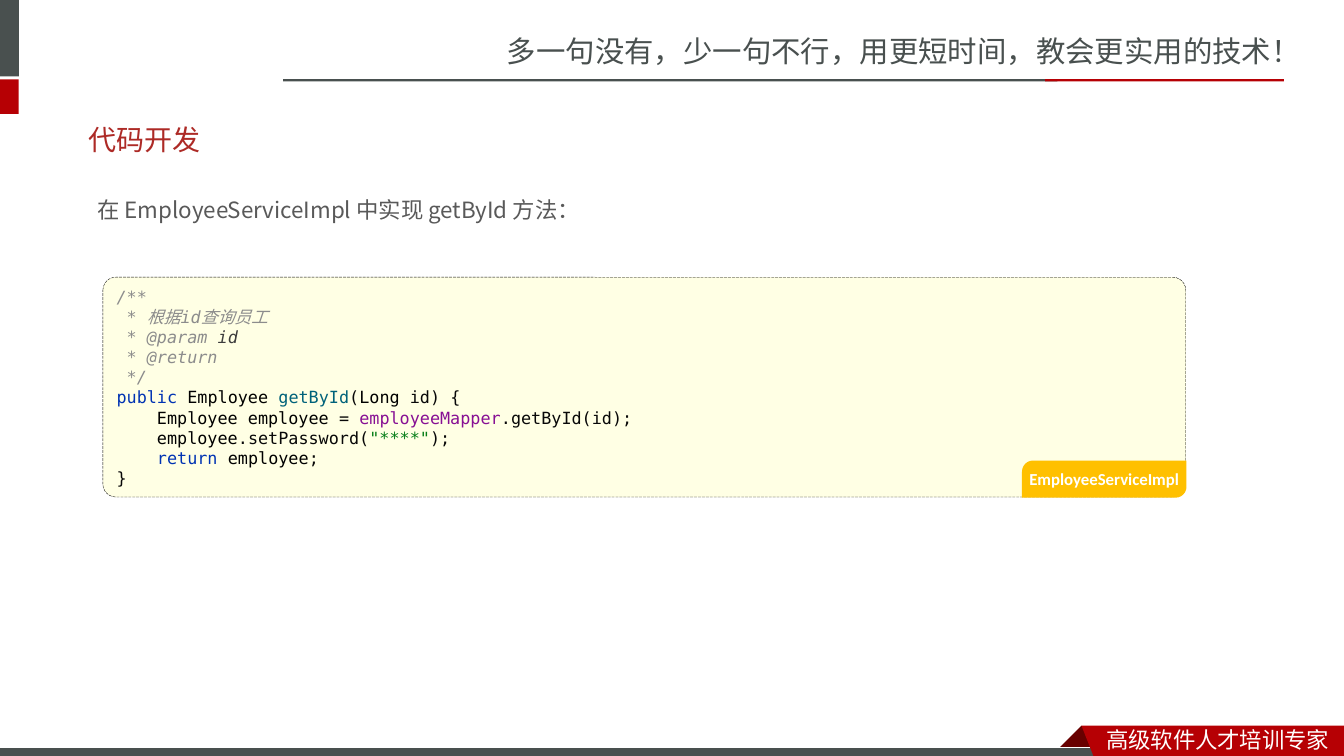
from dataclasses import dataclass

from lxml import etree
from pptx import Presentation
from pptx.dml.color import RGBColor
from pptx.enum.dml import MSO_LINE
from pptx.enum.shapes import MSO_SHAPE
from pptx.enum.text import MSO_ANCHOR, PP_ALIGN
from pptx.oxml.ns import qn
from pptx.util import Pt

RECTANGLE = MSO_SHAPE.RECTANGLE
ROUNDED = MSO_SHAPE.ROUNDED_RECTANGLE
DIAGONAL_ROUNDED = MSO_SHAPE.ROUND_2_DIAG_RECTANGLE
LONG_DASH = MSO_LINE.LONG_DASH
MIDDLE = MSO_ANCHOR.MIDDLE
TOP = MSO_ANCHOR.TOP
LEFT = PP_ALIGN.LEFT
CENTER = PP_ALIGN.CENTER


@dataclass(frozen=True)
class Theme:
    gray: str = "49504F"
    red: str = "B60004"
    dark_red: str = "680000"
    title_red: str = "AD2A26"
    body: str = "595959"
    white: str = "FFFFFF"
    black: str = "000000"
    code_fill: str = "FFFFE4"
    tag_fill: str = "FFC000"
    comment: str = "8C8C8C"
    parameter: str = "3D3D3D"
    keyword: str = "0033B3"
    method: str = "00627A"
    plain: str = "080808"
    field: str = "871094"
    string: str = "067D17"
    slogan_size: float = 21
    title_size: float = 20
    text_size: float = 16
    code_size: float = 12
    sans: str = "Noto Sans CJK SC"
    body_font: str = "Noto Sans CJK JP"
    latin: str = "Calibri"
    mono: str = "DejaVu Sans Mono"


THEME = Theme()

# Each code line holds (text, theme colour) pieces; the comment lines are italic.
COMMENT_LINES = [
    [("/**", "comment")],
    [(" * ", "comment"), ("根据", "comment"), ("id", "comment"), ("查询员工", "comment")],
    [(" * @param ", "comment"), ("id", "parameter")],
    [(" * @return", "comment")],
    [(" */", "comment")],
]
METHOD_LINES = [
    [("public ", "keyword"), ("Employee ", "black"), ("getById", "method"),
     ("(", "plain"), ("Long ", "black"), ("id) {", "plain")],
    [("    Employee employee ", "black"), ("= ", "plain"),
     ("employeeMapper", "field"), (".getById(id);", "plain")],
    [("    employee", "black"), (".setPassword(", "plain"),
     ('"****"', "string"), (");", "plain")],
    [("    return ", "keyword"), ("employee", "black"), (";", "plain")],
    [("}", "plain")],
]


class SlideBuilder:
    """Draws on one slide; all lengths are in points."""

    def __init__(self, slide, theme):
        self.slide = slide
        self.theme = theme

    def set_font(self, font, name, size, color=None):
        """Set the font for Latin and East Asian text alike."""
        font.name = name
        font.size = Pt(size)
        if color:
            font.color.rgb = RGBColor.from_string(color)
        east_asian = etree.Element(qn("a:ea"), typeface=name)
        font._rPr.find(qn("a:latin")).addnext(east_asian)

    def paint(self, shape, fill, line=None, line_width=0.75):
        shape.shadow.inherit = False
        shape.fill.solid()
        shape.fill.fore_color.rgb = RGBColor.from_string(fill)
        if line:
            shape.line.color.rgb = RGBColor.from_string(line)
            shape.line.width = Pt(line_width)
        else:
            shape.line.fill.background()
        return shape

    def shape(self, kind, box, fill, line=None, line_width=0.75, adjustments=()):
        shape = self.slide.shapes.add_shape(kind, *map(Pt, box))
        for index, value in enumerate(adjustments):
            shape.adjustments[index] = value
        return self.paint(shape, fill, line, line_width)

    def polygon(self, points, fill):
        start, *others = [(Pt(x), Pt(y)) for x, y in points]
        builder = self.slide.shapes.build_freeform(*start)
        builder.add_line_segments(others, close=True)
        return self.paint(builder.convert_to_shape(), fill)

    def text(self, box, content, font, size, color, anchor=TOP, line_spacing=1.0):
        frame = self.slide.shapes.add_textbox(*map(Pt, box)).text_frame
        frame.word_wrap = True
        frame.vertical_anchor = anchor
        paragraph = frame.paragraphs[0]
        paragraph.text = content
        paragraph.line_spacing = line_spacing
        self.set_font(paragraph.font, font, size, color)

    def code(self, box):
        theme = self.theme
        panel = self.shape(ROUNDED, box, theme.code_fill, theme.black, 0.25, [0.059])
        panel.line.dash_style = LONG_DASH
        frame = panel.text_frame
        frame.word_wrap = True
        frame.vertical_anchor = MIDDLE
        paragraph = frame.paragraphs[0]
        paragraph.alignment = LEFT
        self.set_font(paragraph.font, theme.mono, theme.code_size)
        for number, pieces in enumerate(COMMENT_LINES + METHOD_LINES):
            if number:
                paragraph.add_line_break()
            for text, color in pieces:
                run = paragraph.add_run()
                run.text = text
                name = theme.mono if text.isascii() else theme.sans
                self.set_font(run.font, name, theme.code_size, getattr(theme, color))
                run.font.italic = number < len(COMMENT_LINES)

    def tag(self, box, label):
        theme = self.theme
        shape = self.shape(DIAGONAL_ROUNDED, box, theme.tag_fill, adjustments=[0.296, 0])
        frame = shape.text_frame
        frame.margin_left = frame.margin_right = frame.margin_top = frame.margin_bottom = 0
        frame.vertical_anchor = MIDDLE
        paragraph = frame.paragraphs[0]
        paragraph.text = label
        paragraph.alignment = CENTER
        self.set_font(paragraph.font, theme.latin, theme.code_size, theme.white)
        paragraph.font.bold = True

    def header(self):
        theme = self.theme
        self.text((355, 20, 605, 34), "多一句没有，少一句不行，用更短时间，教会更实用的技术！",
                  theme.sans, theme.slogan_size, theme.gray)
        for box, color in [
            ((0, 0, 13.5, 54.5), theme.gray),
            ((0, 56.8, 13.3, 24.6), theme.red),
            ((202.3, 56.6, 553, 1.6), theme.gray),
            ((746.5, 56.6, 170.5, 1.6), theme.red),
        ]:
            self.shape(RECTANGLE, box, color)

    def footer(self):
        theme = self.theme
        ribbon_corner = (772.5, 518.4)
        self.polygon([ribbon_corner, (788.4, 534.2), (787.7, 535), (757.4, 535),
                      (756.7, 534.2)], theme.dark_red)
        self.shape(RECTANGLE, (-1, 533.8, 792, 8.6), theme.gray, theme.white)
        self.polygon([ribbon_corner, (960, 518.4), (960, 542.5), (782, 542.5)], theme.red)
        self.text((783, 515, 177, 26.6), "高级软件人才培训专家",
                  theme.sans, theme.text_size, theme.white)


def main():
    presentation = Presentation()
    presentation.slide_width = Pt(960)
    presentation.slide_height = Pt(540)
    slide = presentation.slides.add_slide(presentation.slide_layouts[6])
    builder = SlideBuilder(slide, THEME)
    builder.header()
    builder.footer()
    builder.text((56, 79, 842.5, 41), "代码开发",
                 THEME.latin, THEME.title_size, THEME.title_red, anchor=MIDDLE)
    builder.text((62.5, 126.7, 822, 33), "在 EmployeeServiceImpl 中实现 getById 方法：",
                 THEME.body_font, THEME.text_size, THEME.body, line_spacing=1.5)
    builder.code((73.5, 198, 773.5, 157))
    builder.tag((730, 329, 117.5, 26.5), "EmployeeServiceImpl")
    presentation.save("out.pptx")


if __name__ == "__main__":
    main()
